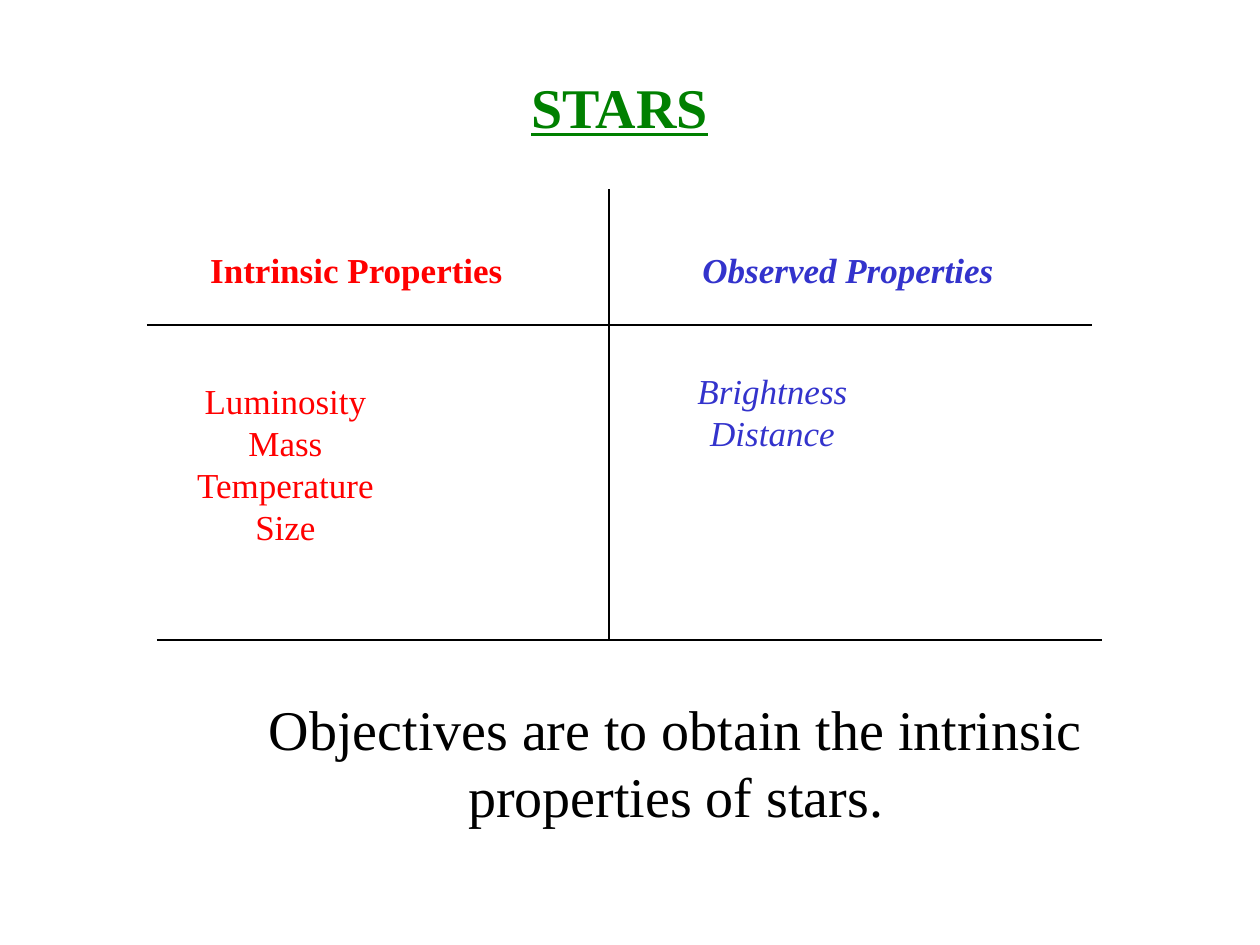
from lxml.etree import SubElement
from pptx import Presentation
from pptx.dml.color import RGBColor
from pptx.enum.shapes import MSO_CONNECTOR
from pptx.enum.text import MSO_ANCHOR, MSO_AUTO_SIZE, PP_ALIGN
from pptx.oxml.ns import qn
from pptx.util import Emu, Pt

PX_PER_INCH = 126
COLORS = {"title": "008000", "intrinsic": "FF0000",
          "observed": "3333CC", "ink": "000000"}
FONT = "Times New Roman"


def px(n):
    return Emu(round(n * 914400 / PX_PER_INCH))


def write(sp, box, lines, color, size=20, bold=False, italic=False,
          underline=False, wrap=False):
    """Place a text shape and fill it with centred paragraphs."""
    sp.left, sp.top, sp.width, sp.height = map(px, box)
    tf = sp.text_frame
    tf.word_wrap = wrap
    tf.auto_size = MSO_AUTO_SIZE.NONE
    tf.vertical_anchor = MSO_ANCHOR.TOP
    for i, line in enumerate(lines):
        p = tf.paragraphs[0] if i == 0 else tf.add_paragraph()
        pPr = p._p.get_or_add_pPr()
        pPr.set("marL", "0")
        pPr.set("indent", "0")
        SubElement(pPr, qn("a:buNone"))
        p.alignment = PP_ALIGN.CENTER
        p.space_before = Pt(0)
        r = p.add_run()
        r.text = line
        f = r.font
        f.name, f.size = FONT, Pt(size)
        f.bold, f.italic, f.underline = bold, italic, underline
        f.color.rgb = RGBColor.from_string(COLORS[color])


def rule(s, x1, y1, x2, y2):
    ln = s.shapes.add_connector(MSO_CONNECTOR.STRAIGHT, *map(px, (x1, y1, x2, y2)))
    ln.line.color.rgb = RGBColor.from_string(COLORS["ink"])
    ln.line.width = Pt(0.75)
    SubElement(ln._element.spPr, qn("a:effectLst"))


def grid(s, x, y, w, h):
    """Draw the divider, the header rule and the slightly shifted bottom rule."""
    header_y, divider_x, shift = y + 136, x + 462, 10
    rule(s, x, header_y, x + w, header_y)
    rule(s, divider_x, y, divider_x, y + h)
    rule(s, x + shift, y + h, x + w + shift, y + h)


def column(head, body, x, y, head_w, body_box, title, items, color, italic=False):
    """Fill one column; body_box is relative to the column's corner."""
    dx, dy, w, h = body_box
    write(head, (x, y, head_w, 63), [title], color, bold=True, italic=italic)
    write(body, (x + dx, y + dy, w, h), items, color, italic=italic)


def main():
    prs = Presentation()
    prs.slide_width, prs.slide_height = px(1260), px(945)
    s = prs.slides.add_slide(prs.slide_layouts.get_by_name("Comparison"))
    ph = {p.placeholder_format.idx: p for p in s.placeholders}

    # Title
    write(s.shapes.title, (517, 66, 205, 79), ["STARS"], "title",
          size=32, bold=True, underline=True)

    # Two-column comparison
    grid(s, 147, 189, 945, 451)
    column(ph[1], ph[2], 168, 242, 377, (-2, 131, 239, 214),
           "Intrinsic Properties",
           ["Luminosity", "Mass", "Temperature", "Size"], "intrinsic")
    column(ph[3], ph[4], 661, 242, 374, (9, 121, 205, 164),
           "Observed Properties",
           ["Brightness", "Distance"], "observed", italic=True)

    # Closing statement
    closing = s.shapes.add_textbox(0, 0, 0, 0)
    write(closing, (155, 688, 1042, 149),
          ["Objectives are to obtain the intrinsic properties of stars."],
          "ink", size=32, wrap=True)

    # Unused footer placeholders
    for p in list(s.placeholders):
        if not p.text_frame.text:
            p._element.getparent().remove(p._element)

    prs.save("out.pptx")


if __name__ == "__main__":
    main()
